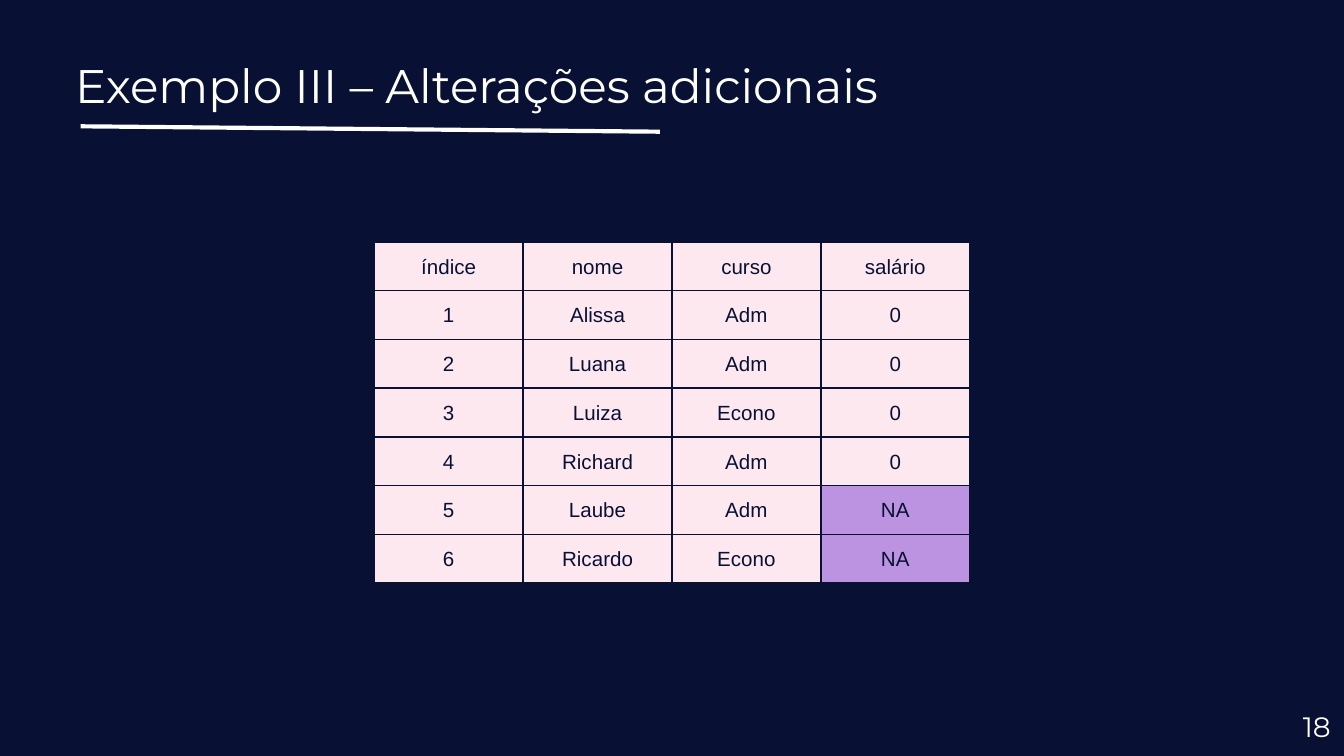
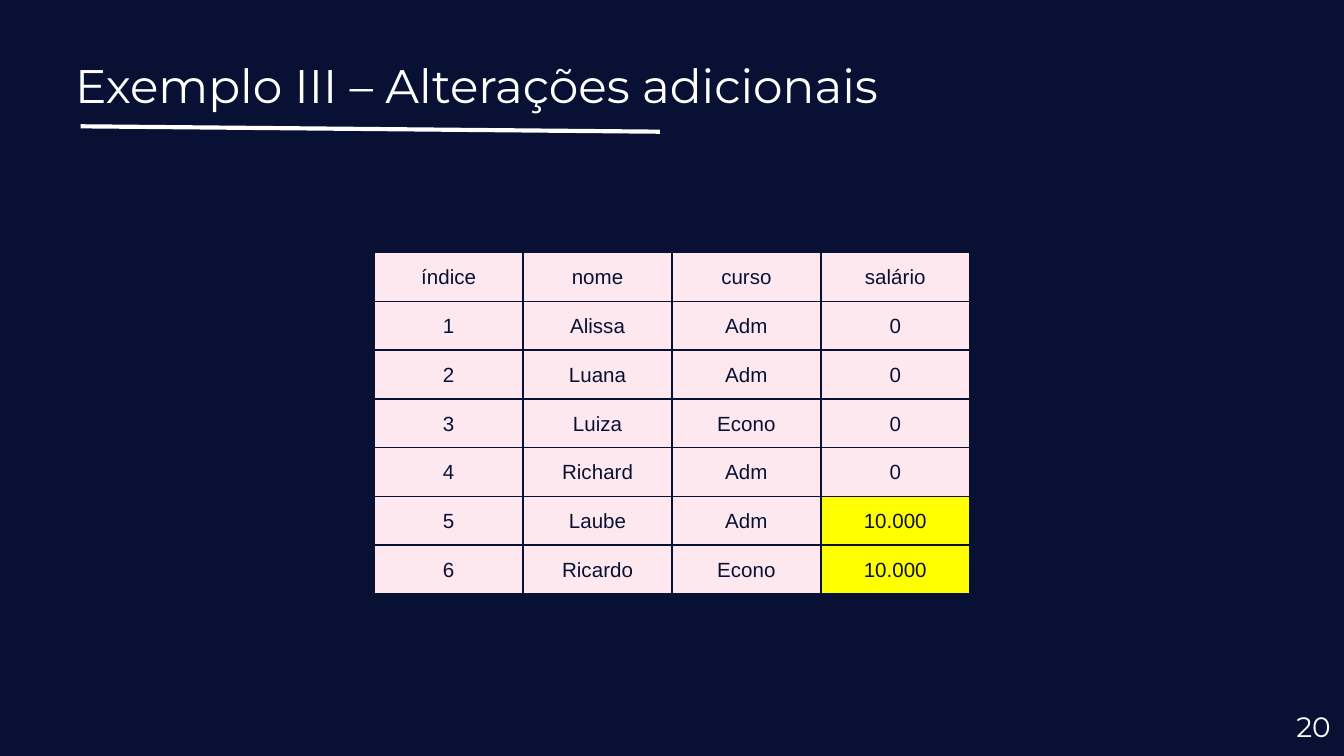
from dataclasses import dataclass

from lxml.etree import SubElement
from pptx import Presentation
from pptx.dml.color import RGBColor as RGB
from pptx.enum.shapes import MSO_CONNECTOR as Connector
from pptx.enum.text import MSO_ANCHOR as Anchor, PP_ALIGN as Align
from pptx.oxml.ns import qn
from pptx.slide import Slide
from pptx.table import _Cell as Cell
from pptx.text.text import TextFrame
from pptx.util import Inches, Pt


@dataclass(frozen=True)
class Theme:
    navy: str = "081133"
    white: str = "FFFFFF"
    pink: str = "FDE8F0"
    purple: str = "BC93E1"
    yellow: str = "FFFF00"
    heading_font: str = "Montserrat"
    table_font: str = "Arial"
    title_size: float = 25.2
    number_size: float = 15
    table_size: float = 11
    rule_width: float = 2.25
    border_width: float = 1


@dataclass(frozen=True)
class Box:
    left: float
    top: float
    width: float
    height: float

    def lengths(self) -> tuple[Inches, ...]:
        return tuple(Inches(v) for v in (self.left, self.top, self.width, self.height))


@dataclass(frozen=True)
class TextStyle:
    font: str
    size: float
    color: str
    align: Align = Align.LEFT


@dataclass(frozen=True)
class SalarySlide:
    number: int
    table_top: float
    new_salary: str
    highlight: str


THEME = Theme()
TITLE = TextStyle(THEME.heading_font, THEME.title_size, THEME.white)
NUMBER = TextStyle(THEME.heading_font, THEME.number_size, THEME.white, Align.RIGHT)
CELL = TextStyle(THEME.table_font, THEME.table_size, THEME.navy, Align.CENTER)

SLIDE_WIDTH = 10
TABLE_WIDTH, TABLE_HEIGHT = 4.43, 2.54
HEADERS = ("índice", "nome", "curso", "salário")
STUDENTS = (
    ("Alissa", "Adm"),
    ("Luana", "Adm"),
    ("Luiza", "Econo"),
    ("Richard", "Adm"),
    ("Laube", "Adm"),
    ("Ricardo", "Econo"),
)
FIRST_NEW = 5  # students from this index on have a highlighted salary

SLIDES = (
    SalarySlide(18, 1.8, "NA", THEME.purple),
    SalarySlide(20, 1.88, "10.000", THEME.yellow),
)


def write(tf: TextFrame, text: str, style: TextStyle) -> None:
    p = tf.paragraphs[0]
    p.alignment = style.align
    r = p.add_run()
    r.text = text
    r.font.name = style.font
    r.font.size = Pt(style.size)
    r.font.color.rgb = RGB.from_string(style.color)


def add_text(s: Slide, box: Box, text: str, style: TextStyle, anchor: Anchor) -> None:
    tf = s.shapes.add_textbox(*box.lengths()).text_frame
    tf.word_wrap = True
    tf.vertical_anchor = anchor
    tf.margin_left = tf.margin_right = tf.margin_top = tf.margin_bottom = Inches(0.1)
    write(tf, text, style)


def add_frame(s: Slide, number: int) -> None:
    """Background, title with its rule, and slide number."""
    fill = s.background.fill
    fill.solid()
    fill.fore_color.rgb = RGB.from_string(THEME.navy)

    rule = s.shapes.add_connector(
        Connector.STRAIGHT, Inches(0.6), Inches(0.94), Inches(4.91), Inches(0.98))
    rule.line.color.rgb = RGB.from_string(THEME.white)
    rule.line.width = Pt(THEME.rule_width)
    SubElement(rule._element.spPr, qn("a:effectLst"))

    add_text(s, Box(0.46, 0.32, 9.32, 0.63),
             "Exemplo III – Alterações adicionais", TITLE, Anchor.TOP)
    add_text(s, Box(9.4, 5.19, 0.6, 0.43), str(number), NUMBER, Anchor.MIDDLE)


def set_borders(cell: Cell) -> None:
    tc_pr = cell._tc.get_or_add_tcPr()
    for side in ("L", "R", "T", "B"):
        ln = SubElement(tc_pr, qn(f"a:ln{side}"), w=str(Pt(THEME.border_width)))
        SubElement(SubElement(ln, qn("a:solidFill")), qn("a:srgbClr"), val=THEME.navy)


def fill_cell(cell: Cell, text: str, color: str) -> None:
    cell.vertical_anchor = Anchor.MIDDLE
    cell.margin_left = cell.margin_right = cell.margin_top = Inches(0.01)
    cell.margin_bottom = 0
    set_borders(cell)
    cell.fill.solid()
    cell.fill.fore_color.rgb = RGB.from_string(color)
    write(cell.text_frame, text, CELL)


def add_salary_table(s: Slide, data: SalarySlide) -> None:
    rows = [HEADERS]
    for i, (name, course) in enumerate(STUDENTS, 1):
        rows.append((str(i), name, course, data.new_salary if i >= FIRST_NEW else "0"))

    # The table is centred across the slide
    box = Box((SLIDE_WIDTH - TABLE_WIDTH) / 2, data.table_top, TABLE_WIDTH, TABLE_HEIGHT)
    table = s.shapes.add_table(len(rows), len(HEADERS), *box.lengths()).table
    table.first_row = table.horz_banding = False
    for i, row in enumerate(rows):
        for j, text in enumerate(row):
            is_new = i >= FIRST_NEW and HEADERS[j] == "salário"
            fill_cell(table.cell(i, j), text, data.highlight if is_new else THEME.pink)


def main() -> None:
    prs = Presentation()
    # Widescreen, 16:9
    prs.slide_width = Inches(SLIDE_WIDTH)
    prs.slide_height = Inches(SLIDE_WIDTH * 9 / 16)
    for data in SLIDES:
        s = prs.slides.add_slide(prs.slide_layouts[6])
        add_frame(s, data.number)
        add_salary_table(s, data)
    prs.save("out.pptx")


if __name__ == "__main__":
    main()
